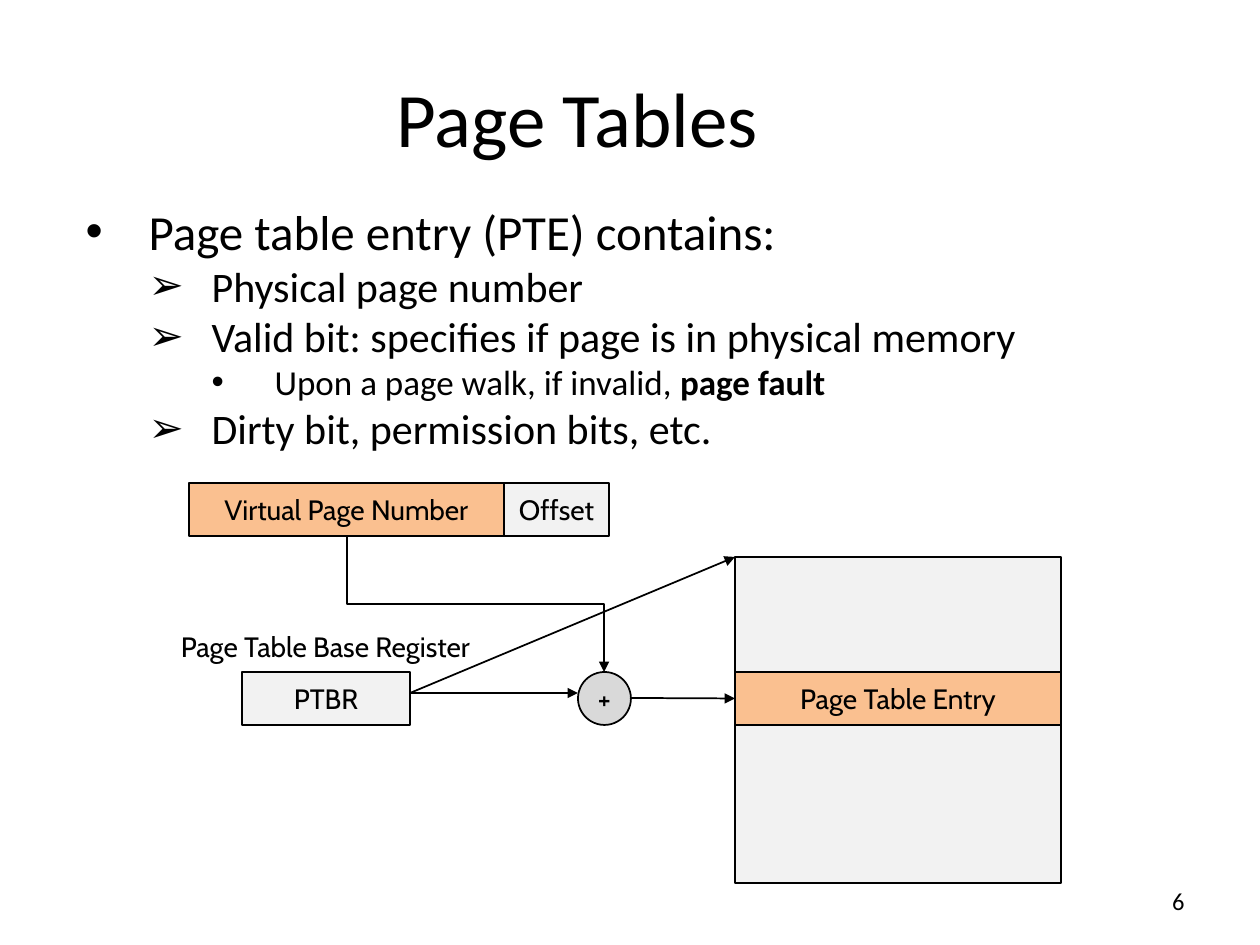
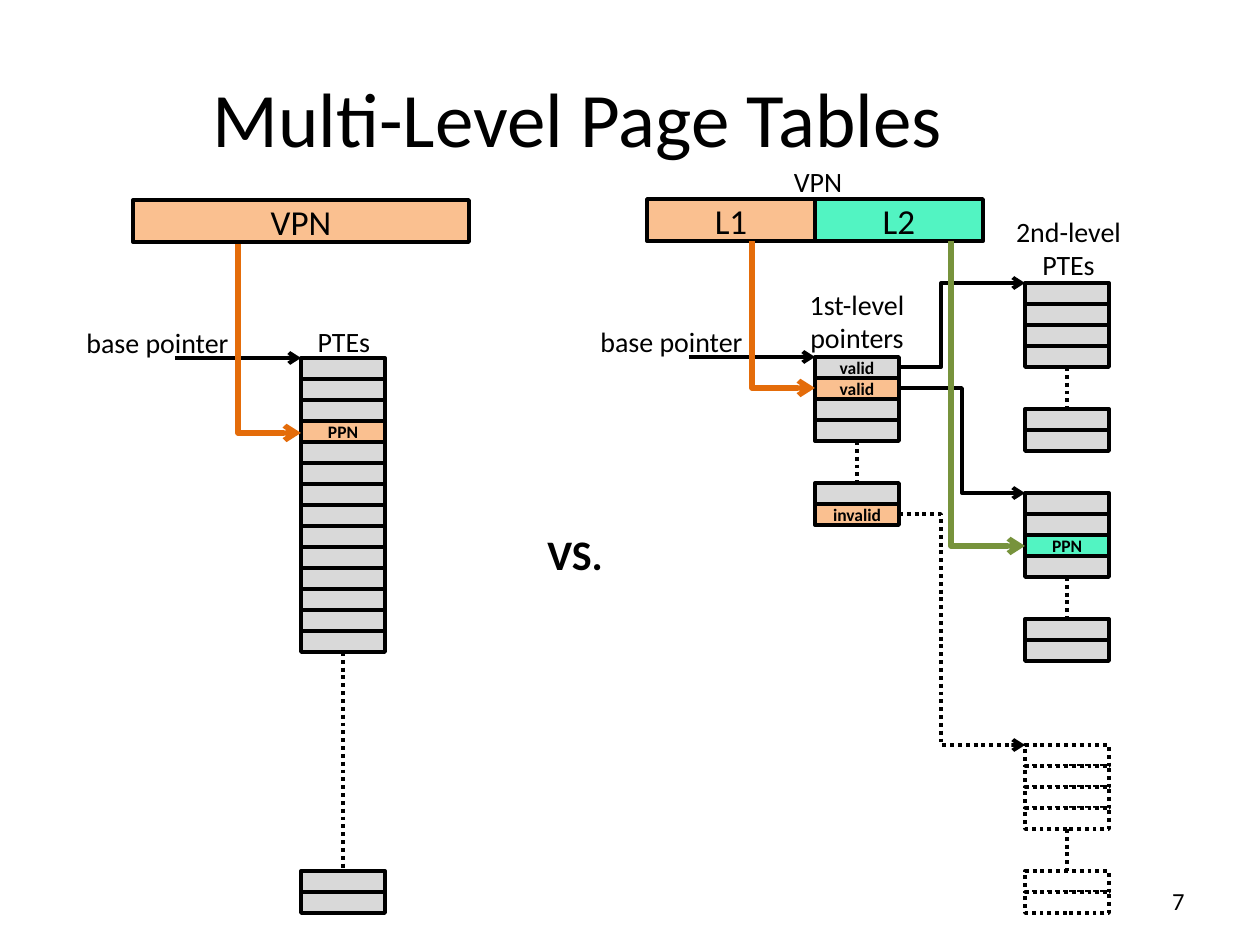
import pptx
import pptx.util
import pptx.dml.color
import pptx.enum.dml
import pptx.enum.shapes
import pptx.enum.text
import pptx.oxml.ns
from lxml import etree

RGB = pptx.dml.color.RGBColor
BLACK = RGB(0x00, 0x00, 0x00)
WHITE = RGB(0xFF, 0xFF, 0xFF)
PALE = RGB(0xF2, 0xF2, 0xF2)
GREY = RGB(0xD9, 0xD9, 0xD9)
PEACH = RGB(0xFA, 0xC0, 0x90)
MINT = RGB(0x52, 0xF4, 0xC2)
ORANGE = RGB(0xE4, 0x6C, 0x0A)
GREEN = RGB(0x77, 0x93, 0x3C)

SHAPE = pptx.enum.shapes.MSO_SHAPE
LINK = pptx.enum.shapes.MSO_CONNECTOR
ALIGN = pptx.enum.text.PP_ALIGN
ANCHOR = pptx.enum.text.MSO_ANCHOR
DOTS = pptx.enum.dml.MSO_LINE.ROUND_DOT
qn = pptx.oxml.ns.qn

PX = 914400 / 126
ENTRY_W, ENTRY_H = 84, 21
BULLETS = [("•", 28), ("➢", 24), ("•", 20)]
INDENT = 63


def emu(*lengths):
    return [pptx.util.Emu(round(n * PX)) for n in lengths]


class Deck:
    def __init__(self):
        self.prs = pptx.Presentation()
        self.prs.slide_width, self.prs.slide_height = emu(1260, 945)
        self.font = "Calibri"
        self.weight = 2.25
        self.s = None

    def new_slide(self, layout, title, number):
        self.s = self.prs.slides.add_slide(self.prs.slide_layouts[layout])
        sp = self.s.shapes.title
        self.place(sp, 63, 38, 1029, 157)
        self.set_text(sp, title, 44, anchor=ANCHOR.MIDDLE)
        self.text(1050, 876, 147, 50, number, 14, align=ALIGN.RIGHT, anchor=ANCHOR.MIDDLE)

    def place(self, sp, *box):
        sp.left, sp.top, sp.width, sp.height = emu(*box)

    def style(self, r, size, bold=False):
        r.font.name = self.font
        r.font.size = pptx.util.Pt(size)
        r.font.bold = bold
        r.font.color.rgb = BLACK

    def set_text(self, sp, text, size, bold=False, align=ALIGN.CENTER, anchor=ANCHOR.TOP, wrap=True):
        tf = sp.text_frame
        tf.text = text
        tf.word_wrap = wrap
        tf.auto_size = pptx.enum.text.MSO_AUTO_SIZE.NONE
        tf.vertical_anchor = anchor
        for p in tf.paragraphs:
            p.alignment = align
            for r in p.runs:
                self.style(r, size, bold)

    def text(self, x, y, w, h, text, size, **options):
        sp = self.s.shapes.add_textbox(*emu(x, y, w, h))
        self.set_text(sp, text, size, wrap=False, **options)

    def bullets(self, box, items):
        sp = self.s.placeholders[1]
        self.place(sp, *box)
        tf = sp.text_frame
        tf.auto_size = pptx.enum.text.MSO_AUTO_SIZE.NONE
        for i, (level, text, strong) in enumerate(items):
            p = tf.add_paragraph() if i else tf.paragraphs[0]
            p.level = level
            p.space_before = pptx.util.Pt(0)
            mark, size = BULLETS[level]
            pPr = p._p.get_or_add_pPr()
            margin, hang = emu(INDENT * (level + 1), -INDENT)
            pPr.set("marL", str(margin))
            pPr.set("indent", str(hang))
            etree.SubElement(pPr, qn("a:buFont")).set("typeface", "Arial")
            etree.SubElement(pPr, qn("a:buChar")).set("char", mark)
            for words, bold in ((text, False), (strong, True)):
                if words:
                    r = p.add_run()
                    r.text = words
                    self.style(r, size, bold)

    def stroke(self, sp, color=BLACK, weight=None, dash=None, arrow=None):
        sp.line.color.rgb = color
        sp.line.width = pptx.util.Pt(weight or self.weight)
        if dash:
            sp.line.dash_style = dash
        if arrow:
            ln = sp._element.spPr.find(qn("a:ln"))
            etree.SubElement(ln, qn("a:tailEnd")).set("type", arrow)

    def box(self, x, y, w, h, fill, text="", size=16, bold=False, kind=SHAPE.RECTANGLE, dash=None):
        sp = self.s.shapes.add_shape(kind, *emu(x, y, w, h))
        sp.shadow.inherit = False
        sp.fill.solid()
        sp.fill.fore_color.rgb = fill
        self.stroke(sp, dash=dash)
        if text:
            self.set_text(sp, text, size, bold, anchor=ANCHOR.MIDDLE, wrap=False)
        return sp

    def line(self, x1, y1, x2, y2, kind=LINK.STRAIGHT, **look):
        c = self.s.shapes.add_connector(kind, *emu(x1, y1, x2, y2))
        self.stroke(c, **look)
        etree.SubElement(c._element.spPr, qn("a:effectLst"))
        return c

    def elbow_down(self, x1, y1, x2, y2, **look):
        mx, my = (x1 + x2) / 2, (y1 + y2) / 2
        dx, dy = (x2 - x1) / 2, (y2 - y1) / 2
        c = self.line(mx - dy, my - dx, mx + dy, my + dx, LINK.ELBOW, **look)
        xfrm = c._element.spPr.find(qn("a:xfrm"))
        xfrm.set("rot", "16200000")
        xfrm.set("flipH", "1")

    def route(self, points, **look):
        fb = self.s.shapes.build_freeform(*points[0], scale=PX)
        fb.add_line_segments(points[1:], close=False)
        sp = fb.convert_to_shape()
        sp.shadow.inherit = False
        sp.fill.background()
        self.stroke(sp, arrow="arrow", **look)

    def page_table(self, x, y, rows, gap, marked=None, fill=GREY, dash=None):
        marked = marked or {}
        gap_top = y + rows * ENTRY_H
        tops = [y + i * ENTRY_H for i in range(rows)]
        tops += [gap_top + gap, gap_top + gap + ENTRY_H]
        for i, top in enumerate(tops):
            label, color = marked.get(i, ("", fill))
            self.box(x, top, ENTRY_W, ENTRY_H, color, label, 10, True, dash=dash)
        middle = x + ENTRY_W // 2
        self.line(middle, gap_top, middle, gap_top + gap, dash=DOTS)

    def base_pointer(self, x, y):
        self.line(x - 126, y, x, y, arrow="arrow")
        self.text(x - 228, y - 39, 169, 47, "base pointer", 16)


def page_tables(d):
    d.new_slide(1, "Page Tables", "6")
    d.bullets((73, 195, 1187, 735), [
        (0, "Page table entry (PTE) contains:", ""),
        (1, "Physical page number", ""),
        (1, "Valid bit: specifies if page is in physical memory", ""),
        (2, "Upon a page walk, if invalid, ", "page fault"),
        (1, "Dirty bit, permission bits, etc.", ""),
    ])
    d.font, d.weight = "Cabin", 1
    d.box(735, 557, 326, 326, PALE)
    entry = d.box(735, 672, 326, 53, PEACH, "Page Table Entry")
    d.box(242, 672, 168, 53, PALE, "PTBR")
    d.line(410, 693, 735, 557, arrow="triangle")
    d.box(189, 483, 315, 53, PEACH, "Virtual Page Number")
    d.box(504, 483, 105, 53, PALE, "Offset")
    d.box(578, 672, 53, 53, GREY, "+", kind=SHAPE.OVAL)
    d.line(410, 693, 578, 693, arrow="triangle")
    d.elbow_down(347, 536, 604, 672, arrow="triangle")
    d.line(630, 698, 735, 698, arrow="triangle").end_connect(entry, 1)
    d.text(168, 620, 315, 53, "Page Table Base Register", 16, anchor=ANCHOR.MIDDLE)


def multi_level(d):
    d.font, d.weight = "Calibri", 2.25
    d.new_slide(5, "Multi-Level Page Tables", "7")

    d.page_table(301, 358, 14, 219, {3: ("PPN", PEACH)})
    d.text(305, 318, 78, 47, "PTEs", 16)
    d.base_pointer(301, 358)
    d.route([(238, 242), (238, 433), (301, 433)], color=ORANGE, weight=3)
    d.box(133, 200, 336, 42, PEACH, "VPN", 20)

    d.page_table(1025, 493, 4, 42, {2: ("PPN", MINT)})
    d.page_table(1025, 745, 4, 42, fill=WHITE, dash=DOTS)
    d.page_table(1025, 283, 4, 42)
    d.page_table(815, 357, 4, 42, {
        0: ("valid", GREY), 1: ("valid", PEACH), 5: ("invalid", PEACH)})
    for y, turn, target, dash in ((367, 941, 283, None), (388, 962, 493, None),
                                  (514, 941, 745, DOTS)):
        d.route([(899, y), (turn, y), (turn, target), (1025, target)], dash=dash)
    d.text(796, 281, 122, 81, "1st-level\npointers", 16)
    d.text(1003, 208, 131, 81, "2nd-level\nPTEs", 16)
    d.box(815, 199, 168, 42, MINT, "L2", 20)
    d.box(647, 199, 168, 42, PEACH, "L1", 20)
    d.base_pointer(815, 357)
    d.route([(752, 241), (752, 388), (815, 388)], color=ORANGE, weight=3)
    d.route([(951, 241), (951, 546), (1025, 546)], color=GREEN, weight=3)
    d.text(781, 158, 74, 47, "VPN", 16)
    d.text(534, 522, 82, 63, "VS.", 24, bold=True)


def main():
    d = Deck()
    page_tables(d)
    multi_level(d)
    d.prs.save("out.pptx")


if __name__ == "__main__":
    main()
